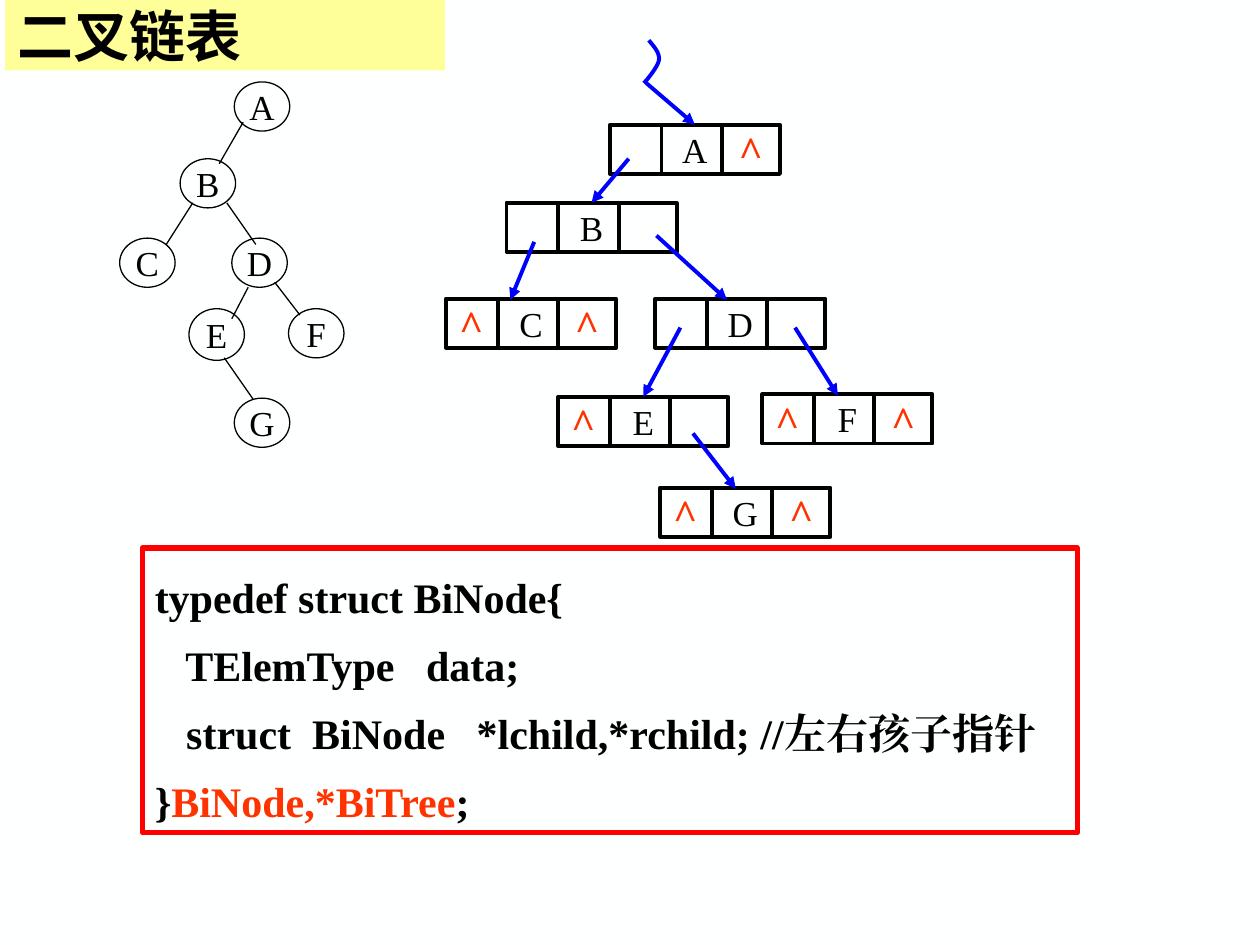
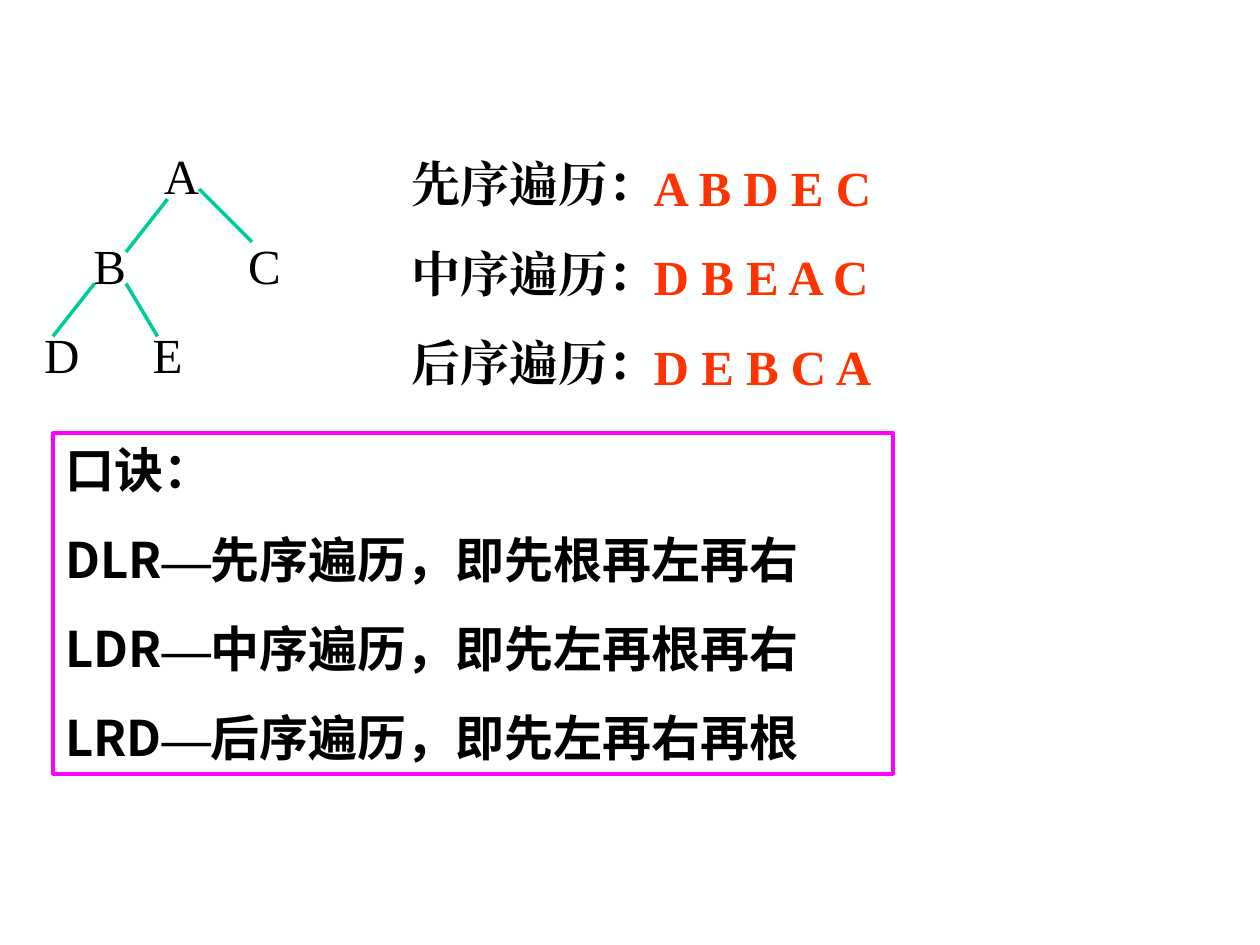
import pptx
import pptx.dml.color
import pptx.enum.shapes
import pptx.enum.text
import pptx.oxml
import pptx.oxml.ns
import pptx.util
from pptx.util import Inches

SERIF = "Times New Roman"
SANS = "Noto Sans CJK SC"
BLACK = "000000"
ORANGE = "FF3300"
BLUE = "0000FF"
GREEN = "00CC99"

SHAPES = pptx.enum.shapes.MSO_SHAPE
ALIGN = pptx.enum.text.PP_ALIGN
ANCHOR = pptx.enum.text.MSO_ANCHOR
AUTO_SIZE = pptx.enum.text.MSO_AUTO_SIZE

CELL_WIDTH, CELL_HEIGHT = 1.35, 0.39
DIVIDERS = (0.41, 0.89)
NULL_OFFSETS = {"left": 0.01, "right": 0.93}


def color(value):
    return pptx.dml.color.RGBColor.from_string(value)


def bezier(start, first, second, end, steps=12):
    for step in range(1, steps + 1):
        t = step / steps
        weights = ((1 - t) ** 3, 3 * t * (1 - t) ** 2, 3 * t * t * (1 - t), t ** 3)
        yield tuple(sum(weight * point[axis] for weight, point
                        in zip(weights, (start, first, second, end)))
                    for axis in (0, 1))


class Deck:
    def __init__(self):
        self.presentation = pptx.Presentation()
        self.presentation.slide_width = Inches(10)
        self.presentation.slide_height = Inches(7.5)
        self.slide = None

    def new_slide(self, layout):
        self.slide = self.presentation.slides.add_slide(
            self.presentation.slide_layouts.get_by_name(layout))
        self.slide.background.fill.solid()
        self.slide.background.fill.fore_color.rgb = color("FEFFFF")

    def set_font(self, font, name=None, size=None, fill=None, bold=None):
        if size:
            font.size = pptx.util.Pt(size)
        if bold is not None:
            font.bold = bold
        if fill:
            font.color.rgb = color(fill)
        if name:
            font.name = name
            east_asian = pptx.oxml.parse_xml(
                f'<a:ea {pptx.oxml.ns.nsdecls("a")} typeface="{name}"/>')
            font._element.find(pptx.oxml.ns.qn("a:latin")).addnext(east_asian)

    def set_text(self, shape, paragraphs, size, name=SERIF, fill=BLACK, bold=False,
                 align=ALIGN.LEFT, anchor=ANCHOR.TOP, wrap=True, grow=False,
                 gap=None, line_spacing=None):
        frame = shape.text_frame
        frame.word_wrap = wrap
        frame.auto_size = AUTO_SIZE.SHAPE_TO_FIT_TEXT if grow else AUTO_SIZE.NONE
        frame.vertical_anchor = anchor
        for index, runs in enumerate(paragraphs):
            paragraph = frame.add_paragraph() if index else frame.paragraphs[0]
            paragraph.alignment = align
            if line_spacing:
                paragraph.line_spacing = line_spacing
            if gap and index:
                paragraph.space_before = pptx.util.Pt(gap)
            self.set_font(paragraph.font, name, size, fill, bold)
            for text, changes in [(runs, {})] if isinstance(runs, str) else runs:
                run = paragraph.add_run()
                run.text = text
                self.set_font(run.font, **changes)

    def title(self, text, left, top, width, height):
        title = self.slide.shapes.title
        title.left, title.top = Inches(left), Inches(top)
        title.width, title.height = Inches(width), Inches(height)
        title.fill.solid()
        title.fill.fore_color.rgb = color("FFFF99")
        self.set_text(title, [text], 32, SANS, bold=True, anchor=ANCHOR.MIDDLE)

    def text(self, paragraphs, left, top, width, height, size, **style):
        box = self.slide.shapes.add_textbox(
            Inches(left), Inches(top), Inches(width), Inches(height))
        self.set_text(box, paragraphs, size, **style)

    def label(self, text, center_x, center_y, size, **style):
        side = 0.5
        self.text([text], center_x - side / 2, center_y - side / 2, side, side, size,
                  align=ALIGN.CENTER, anchor=ANCHOR.MIDDLE, wrap=False, **style)

    def set_outline(self, shape, line, line_width):
        shape.shadow.inherit = False
        shape.fill.background()
        shape.line.color.rgb = color(line)
        shape.line.width = pptx.util.Pt(line_width)

    def outline(self, kind, left, top, width, height, line, line_width,
                paragraphs, size, **style):
        shape = self.slide.shapes.add_shape(
            kind, Inches(left), Inches(top), Inches(width), Inches(height))
        self.set_outline(shape, line, line_width)
        self.set_text(shape, paragraphs, size, **style)
        return shape

    def node(self, kind, text, left, top, width, height, line_width):
        return self.outline(kind, left, top, width, height, BLACK, line_width, [text], 20,
                            align=ALIGN.CENTER, anchor=ANCHOR.MIDDLE, wrap=False)

    def line(self, start, end, line=BLACK, line_width=0.75, arrow=False, target=None):
        connector = self.slide.shapes.add_connector(
            pptx.enum.shapes.MSO_CONNECTOR.STRAIGHT,
            *(Inches(value) for value in (*start, *end)))
        if target is not None:
            connector.end_connect(target, 0)
        connector.line.color.rgb = color(line)
        connector.line.width = pptx.util.Pt(line_width)
        namespace = pptx.oxml.ns.nsdecls("a")
        if arrow:
            connector.line._get_or_add_ln().append(
                pptx.oxml.parse_xml(f'<a:tailEnd {namespace} type="triangle"/>'))
        connector._element.spPr.append(pptx.oxml.parse_xml(f"<a:effectLst {namespace}/>"))

    def list_node(self, text, left, top, nulls):
        cell = self.node(SHAPES.RECTANGLE, text, left, top, CELL_WIDTH, CELL_HEIGHT, 2.25)
        for offset in DIVIDERS:
            self.line((left + offset, top), (left + offset, top + CELL_HEIGHT),
                      line_width=2.25)
        for side in nulls:
            self.label("^", left + NULL_OFFSETS[side] + 0.19, top + 0.2, 24,
                       fill=ORANGE, bold=True)
        return cell

    def curve(self, points, line, line_width):
        scaled = [(Inches(x), Inches(y)) for x, y in points]
        builder = self.slide.shapes.build_freeform(*scaled[0], scale=1.0)
        builder.add_line_segments(scaled[1:], close=False)
        self.set_outline(builder.convert_to_shape(), line, line_width)


def build_linked_list(deck):
    deck.new_slide("Title Only")
    deck.title("二叉链表", 0.04, 0, 3.49, 0.56)

    tree_nodes = {"A": (1.86, 0.65), "B": (1.43, 1.26), "C": (0.95, 1.89),
                  "D": (1.84, 1.89), "E": (1.5, 2.45), "F": (2.29, 2.45),
                  "G": (1.86, 3.16)}
    for name, (left, top) in tree_nodes.items():
        height = 0.41 if name == "E" else 0.39
        deck.node(SHAPES.OVAL, name, left, top, 0.44, height, 0.75)

    tree_edges = [((1.93, 0.97), (1.74, 1.3)), ((1.53, 1.61), (1.32, 1.94)),
                  ((1.8, 1.61), (2.03, 1.94)), ((1.97, 2.28), (1.84, 2.53)),
                  ((2.18, 2.24), (2.38, 2.5)), ((1.78, 2.84), (2.01, 3.17))]
    for start, end in tree_edges:
        deck.line(start, end)

    list_nodes = {"A": (4.84, 0.99, ["right"]), "B": (4.02, 1.61, []),
                  "C": (3.54, 2.37, ["left", "right"]), "D": (5.2, 2.37, []),
                  "E": (4.43, 3.15, ["left"]), "F": (6.05, 3.13, ["left", "right"]),
                  "G": (5.24, 3.87, ["left", "right"])}
    cells = {name: deck.list_node(name, *place) for name, place in list_nodes.items()}

    pointers = [((5.13, 0.66), (5.48, 0.99), "A"), ((4.99, 1.26), (4.74, 1.62), "B"),
                ((4.24, 1.92), (4.05, 2.38), None), ((5.21, 1.87), (5.77, 2.38), None),
                ((5.4, 2.6), (5.09, 3.14), "E"), ((6.31, 2.6), (6.65, 3.14), None),
                ((5.5, 3.44), (5.84, 3.88), None)]
    for start, end, target in pointers:
        deck.line(start, end, BLUE, 2.25, arrow=True, target=cells.get(target))

    top, bend, bottom = (5.15, 0.32), (5.23, 0.48), (5.11, 0.66)
    deck.curve([top, *bezier(top, (5.19, 0.37), (5.24, 0.42), bend),
                *bezier(bend, (5.22, 0.53), (5.14, 0.63), bottom)], BLUE, 2.25)

    code = ["typedef struct BiNode{",
            "   TElemType   data;",
            "   struct  BiNode   *lchild,*rchild; //左右孩子指针",
            [("}", {}), ("BiNode,*BiTree", {"fill": ORANGE}), (";", {})]]
    deck.outline(SHAPES.RECTANGLE, 1.13, 4.35, 7.42, 2.26, "FF0000", 3, code, 24,
                 bold=True, line_spacing=1.35, grow=True)


def build_traversals(deck):
    deck.new_slide("Blank")
    orders = {"先序遍历": "A B D E C", "中序遍历": "D B E A C", "后序遍历": "D E B C A"}
    list_style = {"bold": True, "gap": 17.5, "grow": True}
    deck.text([f"{order}：" for order in orders], 3.17, 1.17, 2.23, 1.99, 28,
              align=ALIGN.JUSTIFY, **list_style)
    deck.text(orders.values(), 5.09, 1.2, 2, 1.99, 28, fill=ORANGE, **list_style)

    letters = {"A": (1.44, 0), "B": (0.87, 1), "C": (2.1, 1), "D": (0.49, 2), "E": (1.33, 2)}
    for letter, (center_x, level) in letters.items():
        deck.label(letter, center_x, 1.39 + 0.71 * level, 28)
    edges = [((1.33, 1.58), (1, 2)), ((1.58, 1.5), (2, 1.92)),
             ((1, 2.25), (1.25, 2.67)), ((0.75, 2.25), (0.42, 2.67))]
    for start, end in edges:
        deck.line(start, end, GREEN, 2)

    rules = {"DLR": "先序遍历，即先根再左再右", "LDR": "中序遍历，即先左再根再右",
             "LRD": "后序遍历，即先左再右再根"}
    mnemonic = ["口诀："] + [[(code, {}), ("—", {"name": SERIF}), (rule, {})]
                          for code, rule in rules.items()]
    deck.outline(SHAPES.RECTANGLE, 0.42, 3.44, 6.67, 2.7, "FF00FF", 2.25, mnemonic, 28,
                 name=SANS, **list_style)


def main():
    deck = Deck()
    build_linked_list(deck)
    build_traversals(deck)
    deck.presentation.save("out.pptx")


if __name__ == "__main__":
    main()
